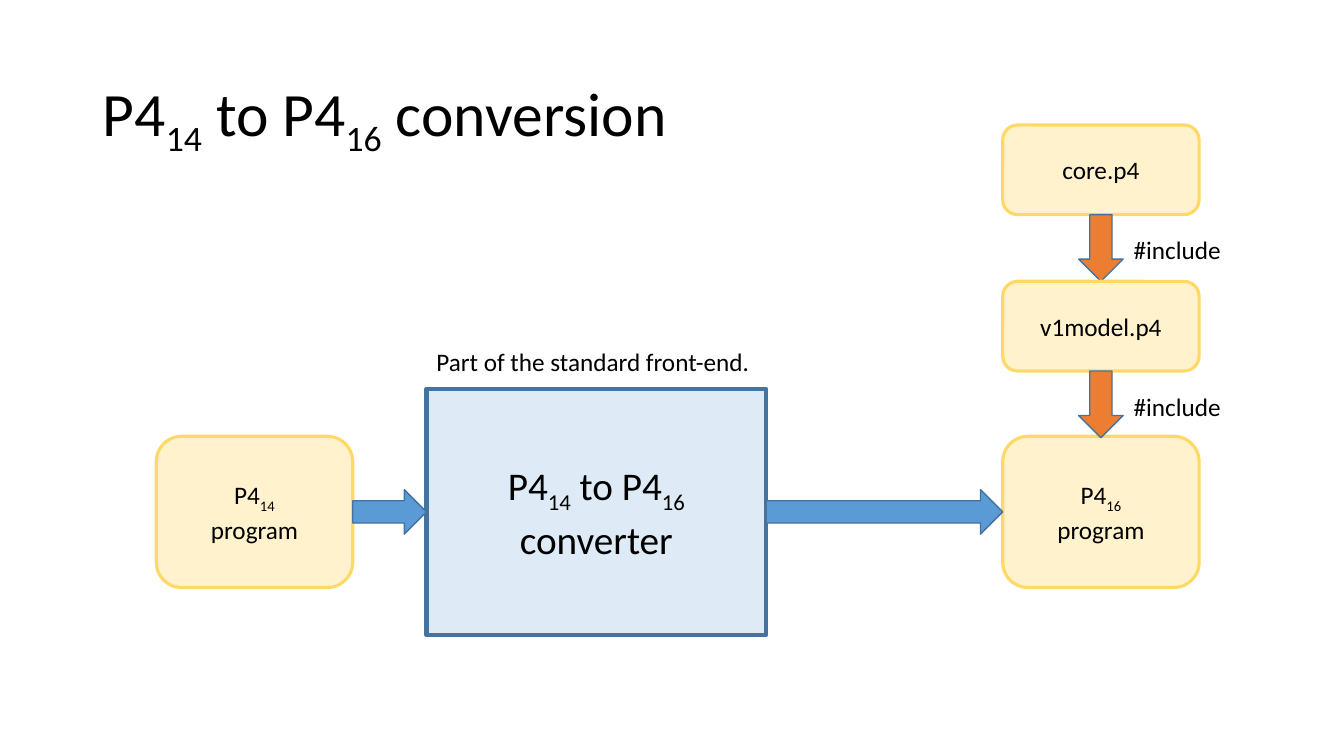
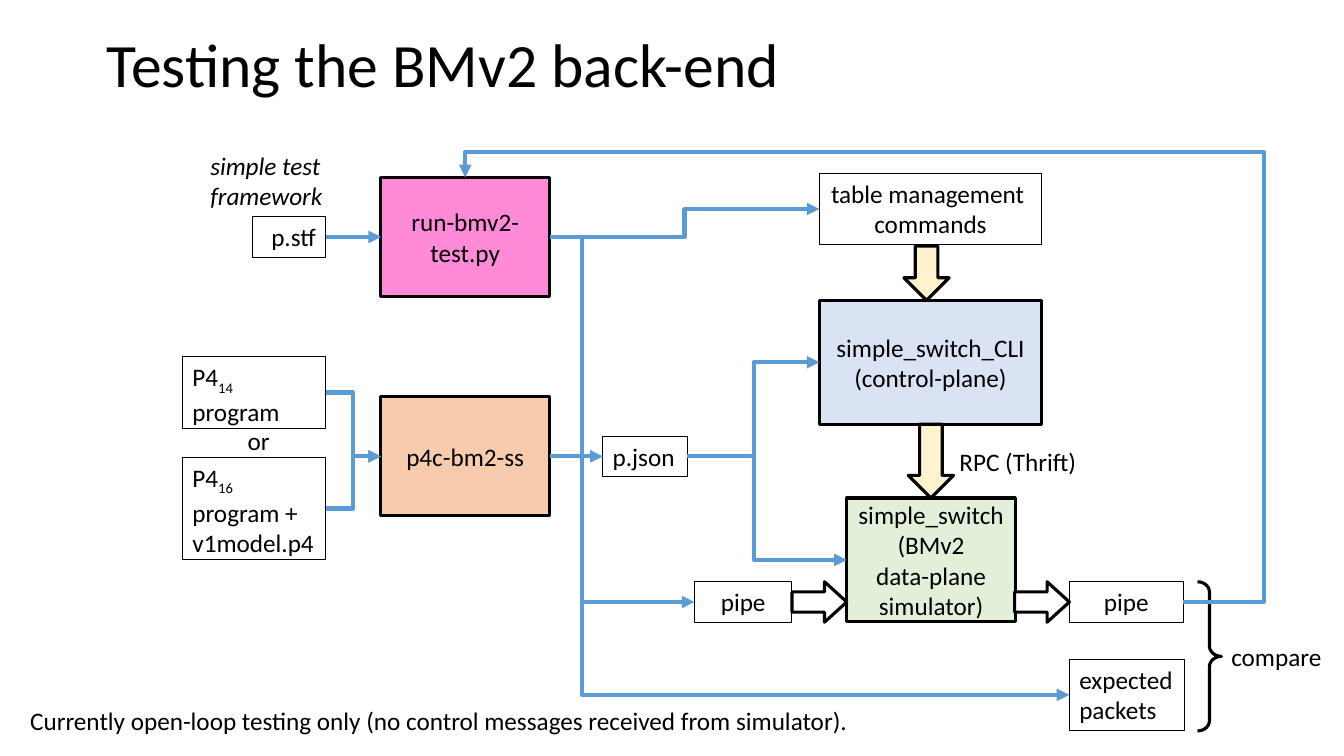
from lxml.etree import SubElement
from pptx import Presentation
from pptx.dml.color import RGBColor
from pptx.enum.shapes import MSO_CONNECTOR as Link, MSO_SHAPE as Kind
from pptx.enum.text import MSO_ANCHOR as Anchor, MSO_AUTO_SIZE as Auto, PP_ALIGN as Align
from pptx.oxml.ns import qn
from pptx.util import Cm, Pt

FONT = "Calibri"
BLACK = RGBColor(0x00, 0x00, 0x00)
WHITE = RGBColor(0xFF, 0xFF, 0xFF)
BLUE = RGBColor(0x5B, 0x9B, 0xD5)
NAVY = RGBColor(0x43, 0x73, 0x9E)
ICE = RGBColor(0xDE, 0xEB, 0xF7)
SKY = RGBColor(0xDA, 0xE3, 0xF3)
CREAM = RGBColor(0xFF, 0xF2, 0xCC)
GOLD = RGBColor(0xFF, 0xD9, 0x66)
ORANGE = RGBColor(0xED, 0x7D, 0x31)
PEACH = RGBColor(0xF8, 0xCB, 0xAD)
PINK = RGBColor(0xFF, 0x8A, 0xD8)
GREEN = RGBColor(0xE2, 0xF0, 0xD9)

TOP, LEFT, RIGHT = 0, 1, 3  # connection sites of a rectangle
LINE_H = 1.02
TWO_H = 1.8


def write(frame, text, size=18, align=Align.LEFT, italic=False):
    """Fill a frame; ~ encloses a subscript and \\v breaks the line."""
    para = frame.paragraphs[0]
    para.alignment = align
    for i, part in enumerate(text.split("~")):
        for j, bit in enumerate(part.split("\v")):
            if j:
                para.add_line_break()
            if not bit:
                continue
            run = para.add_run()
            run.text = bit
            run.font.name = FONT
            run.font.size = Pt(size)
            run.font.italic = italic
            run.font.color.rgb = BLACK
            if i % 2:
                run._r.get_or_add_rPr().set("baseline", "-25000")


def shape(slide, kind, area, fill, line=BLACK, weight=2.25, adjust=()):
    item = slide.shapes.add_shape(kind, *map(Cm, area))
    item.shadow.inherit = False
    if fill is None:
        item.fill.background()
    else:
        item.fill.solid()
        item.fill.fore_color.rgb = fill
    item.line.color.rgb = line
    item.line.width = Pt(weight)
    for i, value in enumerate(adjust):
        item.adjustments[i] = value
    return item


def block(slide, area, text, fill, line=BLACK, weight=2.25, kind=Kind.RECTANGLE, size=18):
    """Coloured shape with centred text."""
    item = shape(slide, kind, area, fill, line, weight)
    item.text_frame.word_wrap = True
    item.text_frame.vertical_anchor = Anchor.MIDDLE
    write(item.text_frame, text, size, Align.CENTER)
    return item


def card(slide, area, text, align=Align.LEFT, wrap=True):
    """Thinly outlined box for a file or a channel."""
    item = shape(slide, Kind.RECTANGLE, area, None, weight=0.75)
    frame = item.text_frame
    frame.word_wrap = wrap
    frame.auto_size = Auto.SHAPE_TO_FIT_TEXT
    frame.vertical_anchor = Anchor.TOP
    write(frame, text, align=align)
    return item


def label(slide, area, text, italic=False):
    frame = slide.shapes.add_textbox(*map(Cm, area)).text_frame
    frame.word_wrap = False
    frame.auto_size = Auto.SHAPE_TO_FIT_TEXT
    write(frame, text, italic=italic)


def title(slide, area, text):
    frame = slide.shapes.add_textbox(*map(Cm, area)).text_frame
    frame.word_wrap = True
    frame.vertical_anchor = Anchor.MIDDLE
    write(frame, text, 44)
    frame.paragraphs[0].line_spacing = 0.9


def join(slide, start, end, x=None, y=None):
    """Arrow between shapes, bending at x; with y it enters the end from above."""
    kind = Link.STRAIGHT if x is None else Link.ELBOW
    link = slide.shapes.add_connector(kind, 0, 0, 0, 0)
    link.begin_connect(start, RIGHT)
    link.end_connect(end, LEFT if y is None else TOP)
    link.line.color.rgb = BLUE
    link.line.width = Pt(3)
    props = link.element.spPr
    SubElement(props.find(qn("a:ln")), qn("a:tailEnd"), type="triangle")
    SubElement(props, qn("a:effectLst"))
    if x is None:
        return
    bends = [(Cm(x) - link.begin_x) / (link.end_x - link.begin_x)]
    names = ["adj1"]
    geom = props.find(qn("a:prstGeom"))
    if y is not None:
        geom.set("prst", "bentConnector4")
        bends.append((Cm(y) - link.begin_y) / (link.end_y - link.begin_y))
        names.append("adj2")
    guides = geom.find(qn("a:avLst"))
    for name, bend in zip(names, bends):
        SubElement(guides, qn("a:gd"), name=name, fmla=f"val {round(bend * 100000)}")


def flow(slide, x, y):
    """Program, converter and converted program in a row."""
    wide, tall = 4.95, 3.81
    mid, far = x + 6.81, x + 21.33
    conv_w, conv_h = 8.56, 6.2
    axis = y + conv_h / 2
    label(slide, (mid, y - 1.19, 8.51, LINE_H), "Part of the standard front-end.")
    block(slide, (mid, y, conv_w, conv_h), "P4~14~ to P4~16~ converter",
          ICE, NAVY, 3, size=28)
    for left, version in ((x, 14), (far, 16)):
        block(slide, (left, axis - tall / 2, wide, tall), f"P4~{version}~\vprogram",
              CREAM, GOLD, kind=Kind.ROUNDED_RECTANGLE)
    for left, right in ((x + wide, mid), (mid + conv_w, far)):
        shape(slide, Kind.RIGHT_ARROW, (left, axis - 0.56, right - left, 1.12),
              BLUE, NAVY, 1)


def includes(slide, x, y):
    """Stack of library files, each included by the one below."""
    wide, tall, gap = 4.95, 2.26, 1.68
    for i, name in enumerate(("core.p4", "v1model.p4")):
        top = y + i * (tall + gap)
        block(slide, (x, top, wide, tall), name, CREAM, GOLD,
              kind=Kind.ROUNDED_RECTANGLE)
        shape(slide, Kind.DOWN_ARROW, (x + wide / 2 - 0.56, top + tall, 1.12, gap),
              ORANGE, NAVY, 1)
        label(slide, (x + 3.05, top + tall + 0.38, 2.74, LINE_H), "#include")


def tools(slide, x, y):
    """Inputs, test script and compiler; returns the script and its JSON file."""
    left, wide, tall = x + 5, 4.25, 3
    label(slide, (x + 0.45, y, 3.35, TWO_H), "simple test\vframework", italic=True)
    stf = card(slide, (x + 1.76, y + 1.8, 1.85, LINE_H), "p.stf", Align.RIGHT)
    script = block(slide, (left, y + 0.81, wide, tall), "run-bmv2-test.py", PINK)
    old = card(slide, (x, y + 5.33, 3.61, TWO_H), "P4~14~\vprogram")
    label(slide, (x + 1.39, y + 6.93, 1.07, LINE_H), "or")
    new = card(slide, (x, y + 7.87, 3.61, 2.57),
               "P4~16~\vprogram +\vv1model.p4", wrap=False)
    compiler = block(slide, (left, y + 6.34, wide, tall), "p4c-bm2-ss", PEACH)
    json = card(slide, (x + 10.59, y + 7.33, 2.13, LINE_H), "p.json")
    join(slide, stf, script)
    for program in (old, new):
        join(slide, program, compiler, x + 4.3)
    join(slide, compiler, json)
    return script, json


def switch(slide, x, y):
    """Commands, control plane and simulator, top to bottom."""
    table = card(slide, (x, y, 5.6, TWO_H), "table management \vcommands",
                 Align.CENTER, False)
    cli = block(slide, (x, y + 3.2, 5.6, 3.12), "simple_switch_CLI\v(control-plane)", SKY)
    model = block(slide, (x + 0.69, y + 8.18, 4.25, 3.12),
                  "simple_switch\v(BMv2\vdata-plane simulator)", GREEN)
    for left, top, tall in ((2.13, 1.83, 1.37), (2.24, 6.32, 1.86)):
        shape(slide, Kind.DOWN_ARROW, (x + left, y + top, 1.14, tall), CREAM)
    label(slide, (x + 3.28, y + 6.76, 3.5, LINE_H), "RPC (Thrift)")
    return table, cli, model


def packets(slide, x, y):
    """Packet channels and the comparison with the expected output."""
    far = x + 9.45
    source = card(slide, (x, y, 2.46, LINE_H), "pipe", Align.CENTER)
    sink = card(slide, (far, y, 2.87, LINE_H), "pipe", Align.CENTER)
    wanted = card(slide, (far, y + 1.95, 2.9, TWO_H), "expected\vpackets", wrap=False)
    for left in (x + 2.46, far - 1.38):
        shape(slide, Kind.RIGHT_ARROW, (left, y, 1.38, LINE_H), WHITE,
              adjust=(0.5, 0.55))
    shape(slide, Kind.RIGHT_BRACE, (far + 3.23, y, 0.6, 3.76), None, adjust=(0.43, 0.5))
    label(slide, (far + 3.83, y + 1.37, 2.82, LINE_H), "compare")
    return source, sink, wanted


def convert(slide):
    title(slide, (2.34, 1.02, 29.21, 3.68), "P4~14~ to P4~16~ conversion")
    flow(slide, 3.94, 9.8)
    includes(slide, 25.27, 3.15)


def testing(slide):
    title(slide, (2.44, 0.51, 29.21, 2.39), "Testing the BMv2 back-end")
    script, json = tools(slide, 4.6, 3.66)
    table, cli, model = switch(slide, 20.65, 4.37)
    source, sink, wanted = packets(slide, 17.5, 14.66)
    for target in (cli, model):
        join(slide, json, target, 19)
    join(slide, script, table, 17.25)
    for target in (source, wanted):
        join(slide, script, target, 14.66)
    join(slide, sink, script, 31.85, 3.84)
    label(slide, (0.51, 17.65, 21.36, LINE_H),
          "Currently open-loop testing only (no control messages received from simulator).")


def main():
    deck = Presentation()
    deck.slide_width, deck.slide_height = Cm(33.87), Cm(19.05)
    for build in (convert, testing):
        build(deck.slides.add_slide(deck.slide_layouts[6]))
    deck.save("out.pptx")


if __name__ == "__main__":
    main()
